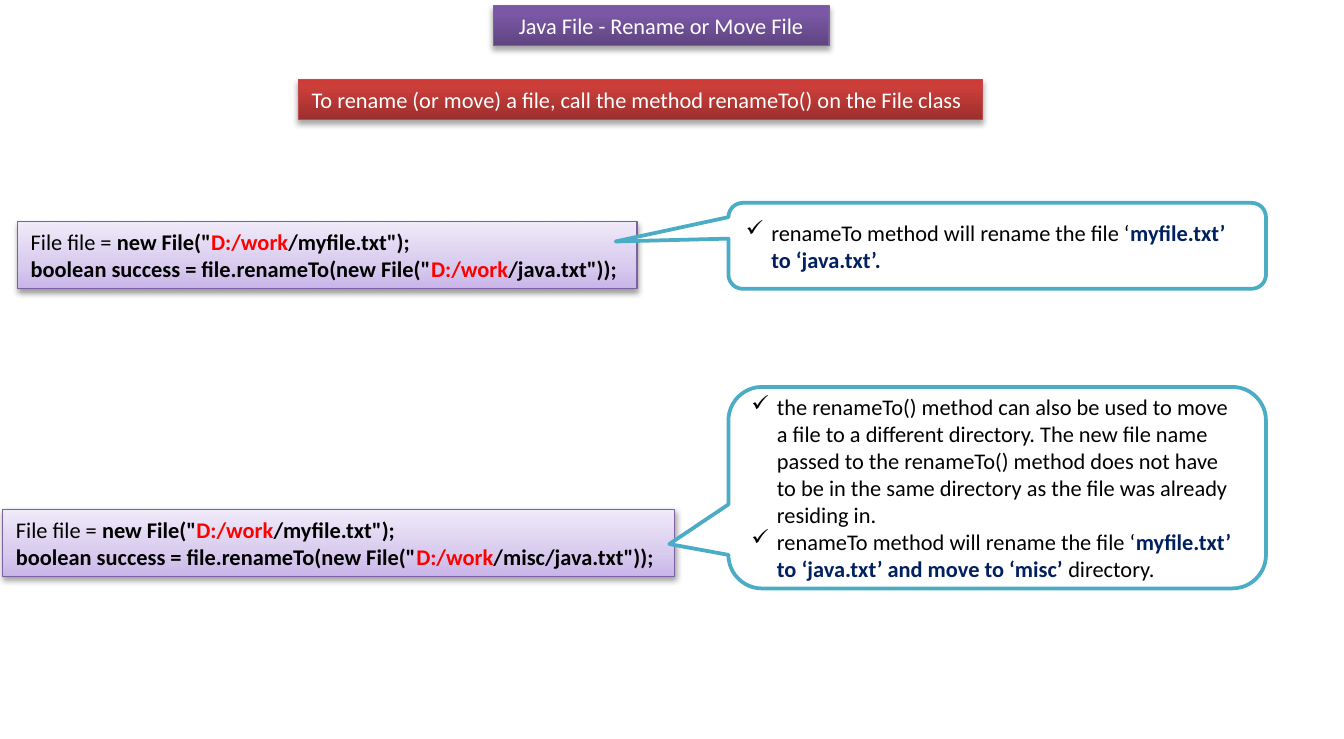
from lxml import etree
from pptx import Presentation
from pptx import util as u
from pptx.dml.color import RGBColor
from pptx.enum import shapes, text
from pptx.oxml.ns import qn

BLACK = RGBColor(0x00, 0x00, 0x00)
WHITE = RGBColor(0xFF, 0xFF, 0xFF)
RED = RGBColor(0xFF, 0x00, 0x00)
NAVY = RGBColor(0x00, 0x20, 0x60)
TEAL = RGBColor(0x4B, 0xAC, 0xC6)
PURPLE = RGBColor(0x7D, 0x60, 0xA0)
BRICK = RGBColor(0xBF, 0x4C, 0x48)

# Gradient stops (percent, colour), from bottom to top
PURPLE_FADE = ((0, "5F4480"), (80, "7B58A6"), (100, "7C57A8"))
BRICK_FADE = ((0, "9C2F2D"), (80, "CB3E3A"), (100, "CE3B37"))
LILAC_FADE = ((0, "C9B5E8"), (35, "D8CBEE"), (100, "F0EAF9"))


def add_node(parent, tag, **attrs):
    return etree.SubElement(parent, qn(tag), attrs)


class SlideBuilder:
    font = "Calibri"
    size = u.Pt(12)

    def __init__(self, slide):
        self.s = slide

    def shape(self, kind, box, line, width):
        sp = self.s.shapes.add_shape(kind, *map(u.Inches, box))
        sp.shadow.inherit = False
        sp.line.color.rgb = line
        sp.line.width = u.Pt(width)
        return sp

    def panel(self, box, line, stops, opacity, distance):
        """Add a rectangle with a vertical gradient and a soft shadow below."""
        sp = self.shape(shapes.MSO_SHAPE.RECTANGLE, box, line, 0.75)
        sp.fill.gradient()
        sp.fill.gradient_angle = 90
        spPr = sp._element.spPr
        gs_list = spPr.find(qn("a:gradFill")).find(qn("a:gsLst"))
        for gs in list(gs_list):
            gs_list.remove(gs)
        for pos, colour in stops:
            gs = add_node(gs_list, "a:gs", pos=str(pos * 1000))
            add_node(gs, "a:srgbClr", val=colour)
        shadow = add_node(spPr.find(qn("a:effectLst")), "a:outerShdw",
                          blurRad=str(u.Pt(3.1)), dist=str(u.Pt(distance)),
                          dir="5400000", rotWithShape="0")
        colour = add_node(shadow, "a:srgbClr", val="000000")
        add_node(colour, "a:alpha", val=str(opacity * 1000))
        sp.text_frame.auto_size = text.MSO_AUTO_SIZE.SHAPE_TO_FIT_TEXT
        sp.text_frame.vertical_anchor = text.MSO_ANCHOR.TOP
        return sp

    def add_text(self, sp, paragraphs, align=text.PP_ALIGN.LEFT, bullet=None):
        """Fill a shape with paragraphs, each a list of (text, colour, bold)."""
        tf = sp.text_frame
        for i, runs in enumerate(paragraphs):
            p = tf.paragraphs[0] if i == 0 else tf.add_paragraph()
            p.alignment = align
            if bullet:
                pPr = p._p.get_or_add_pPr()
                indent = u.Inches(0.19)
                pPr.set("marL", str(indent))
                pPr.set("indent", str(-indent))
                add_node(pPr, "a:buChar", char=bullet)
            p.font.name = self.font
            p.font.size = self.size
            for words, colour, bold in runs:
                r = p.add_run()
                r.text = words
                r.font.color.rgb = colour
                r.font.bold = bold

    def banner(self, box, line, stops, words, align):
        sp = self.panel(box, line, stops, 35, 1.8)
        sp.text_frame.word_wrap = True
        self.add_text(sp, [[(words, WHITE, False)]], align)

    def code(self, box, target):
        sp = self.panel(box, PURPLE, LILAC_FADE, 38, 1.6)
        sp.text_frame.word_wrap = False
        folder = ("D:/work", RED, True)
        self.add_text(sp, [
            [("File file = ", BLACK, False), ('new File("', BLACK, True),
             folder, ('/myfile.txt");', BLACK, True)],
            [('boolean success = file.renameTo(new File("', BLACK, True),
             folder, (target + '"));', BLACK, True)],
        ])

    def callout(self, box, tip, paragraphs):
        """Add a rounded callout; tip is its point relative to the centre."""
        sp = self.shape(shapes.MSO_SHAPE.ROUNDED_RECTANGULAR_CALLOUT,
                        box, TEAL, 2)
        sp.fill.solid()
        sp.fill.fore_color.rgb = WHITE
        sp.adjustments[0], sp.adjustments[1] = tip
        sp.text_frame.word_wrap = True
        sp.text_frame.vertical_anchor = text.MSO_ANCHOR.MIDDLE
        self.add_text(sp, paragraphs, bullet="✓")


def main():
    prs = Presentation()
    prs.slide_width, prs.slide_height = u.Inches(10), u.Inches(5.5)
    b = SlideBuilder(prs.slides.add_slide(prs.slide_layouts[6]))

    b.banner((3.67, 0.04, 2.5, 0.3), PURPLE, PURPLE_FADE,
             "Java File - Rename or Move File", text.PP_ALIGN.CENTER)
    b.banner((2.22, 0.59, 5.09, 0.3), BRICK, BRICK_FADE,
             "To rename (or move) a file, call the method renameTo() "
             "on the File class", text.PP_ALIGN.LEFT)

    rename = ("renameTo method will rename the file ‘", BLACK, False)

    b.code((0.13, 1.65, 4.61, 0.5), "/java.txt")
    b.callout((5.42, 1.51, 4, 0.64), (-0.71, -0.05), [
        [rename, ("myfile.txt’ to ‘java.txt’.", NAVY, True)],
    ])

    b.code((0.02, 3.79, 5, 0.5), "/misc/java.txt")
    b.callout((5.42, 2.88, 4, 1.5), (-0.61, 0.28), [
        [("the renameTo() method can also be used to move a file to a "
          "different directory. The new file name passed to the renameTo() "
          "method does not have to be in the same directory as the file was "
          "already residing in.", BLACK, False)],
        [rename, ("myfile.txt’ to ‘java.txt’ and move to ‘misc’ ", NAVY, True),
         ("directory.", BLACK, False)],
    ])

    prs.save("out.pptx")


if __name__ == "__main__":
    main()
